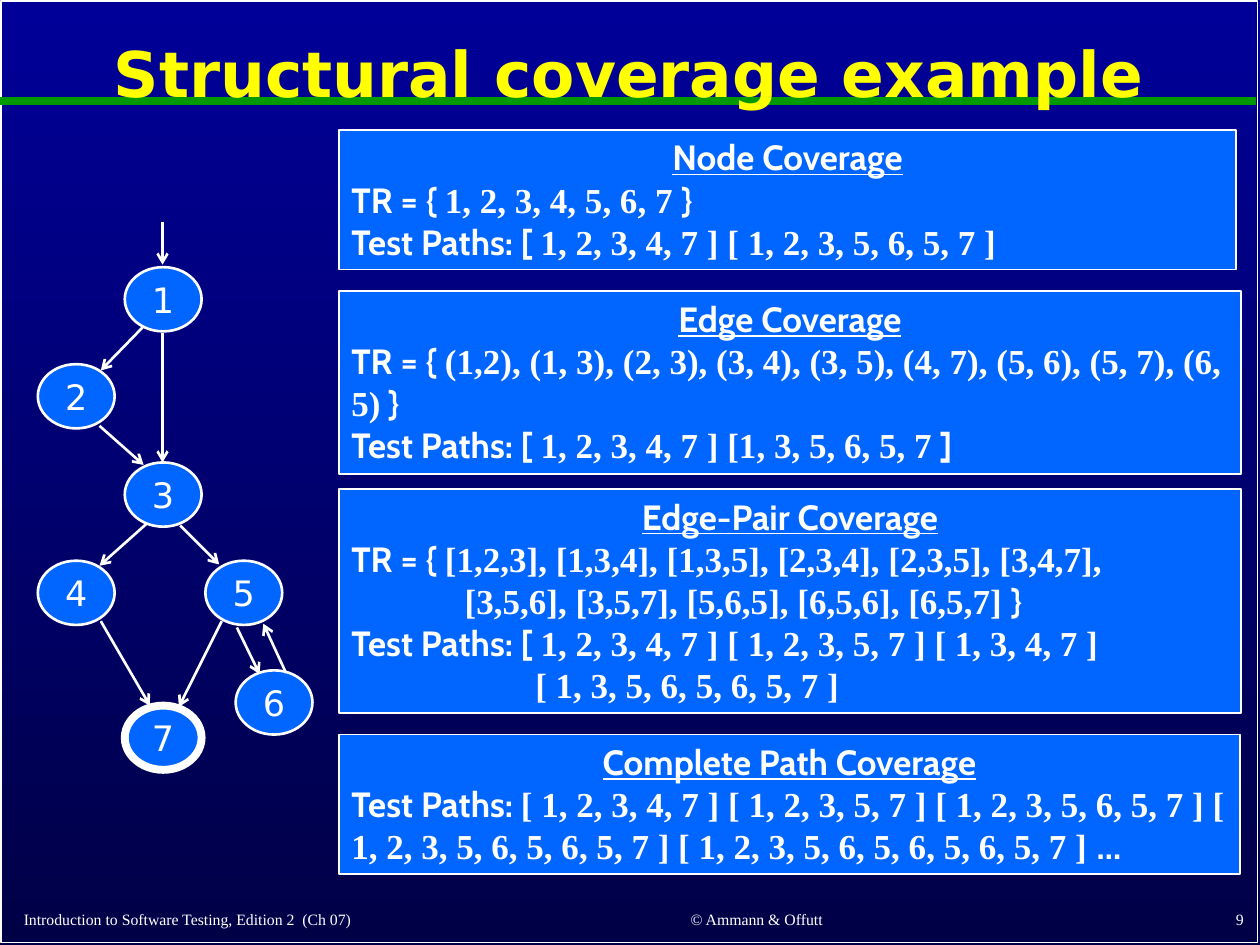
from lxml import etree
from pptx import Presentation
from pptx.dml.color import RGBColor
from pptx.enum.shapes import MSO_CONNECTOR, MSO_SHAPE
from pptx.enum.text import MSO_ANCHOR, MSO_AUTO_SIZE, PP_ALIGN
from pptx.oxml.ns import qn
from pptx.util import Inches, Pt

COLORS = {name: RGBColor.from_string(value) for name, value in {
    "top": "000099", "bottom": "000047", "blue": "0066FF",
    "white": "FFFFFF", "green": "009900", "yellow": "FFFF00",
}.items()}
SANS, SERIF, HEADING = "DejaVu Sans", "Times New Roman", "Cabin"


def style_run(run, font, size, color="white", bold=False):
    run.font.name = font
    run.font.size = Pt(size)
    run.font.color.rgb = COLORS[color]
    run.font.bold = bold


def add_line(start, end, color="white", width=1.5, arrow=True):
    """Add a straight line, with an arrowhead at its end if asked."""
    line = slide.shapes.add_connector(
        MSO_CONNECTOR.STRAIGHT, *[Inches(value) for value in (*start, *end)])
    line.line.color.rgb = COLORS[color]
    line.line.width = Pt(width)
    properties = line.line._get_or_add_ln()
    if arrow:
        etree.SubElement(properties, qn("a:tailEnd"), type="arrow")
    etree.SubElement(properties.getparent(), qn("a:effectLst"))


presentation = Presentation()
presentation.slide_width = Inches(10)
presentation.slide_height = Inches(7.5)
slide = presentation.slides.add_slide(presentation.slide_layouts[6])

# Background, frame and rule under the title
background = slide.background.fill
background.gradient()
background.gradient_angle = 270
for stop, name in zip(background.gradient_stops, ("top", "bottom")):
    stop.color.rgb = COLORS[name]

frame = slide.shapes.add_shape(
    MSO_SHAPE.RECTANGLE, Inches(0.01), Inches(0.01), Inches(9.97), Inches(7.47))
frame.shadow.inherit = False
frame.fill.background()
frame.line.color.rgb = COLORS["white"]
frame.line.width = Pt(1)
add_line((0, 0.8), (9.97, 0.8), "green", 4.5, arrow=False)

# Title and footer
title = slide.shapes.add_textbox(Inches(0.09), Inches(0.11), Inches(9.8), Inches(1))
title.text_frame.word_wrap = True
title.text_frame.vertical_anchor = MSO_ANCHOR.MIDDLE
title.text_frame.text = "Structural coverage example"
paragraph = title.text_frame.paragraphs[0]
paragraph.alignment = PP_ALIGN.CENTER
paragraph.line_spacing = 0.9
style_run(paragraph.runs[0], SANS, 36, "yellow", bold=True)

footers = [
    ("Introduction to Software Testing, Edition 2  (Ch 07)", 0.09, 4.12, PP_ALIGN.LEFT),
    ("© Ammann & Offutt", 4.42, 3.17, PP_ALIGN.CENTER),
    ("9", 7.89, 2.08, PP_ALIGN.RIGHT),
]
for text, left, width, alignment in footers:
    footer = slide.shapes.add_textbox(
        Inches(left), Inches(7.12), Inches(width), Inches(0.3))
    footer.text_frame.word_wrap = True
    footer.text_frame.vertical_anchor = MSO_ANCHOR.BOTTOM
    footer.text_frame.text = text
    paragraph = footer.text_frame.paragraphs[0]
    paragraph.alignment = alignment
    style_run(paragraph.runs[0], SERIF, 9)

# Control flow graph
nodes = {
    "1": (0.99, 2.12), "2": (0.3, 2.89), "3": (0.99, 3.67), "4": (0.3, 4.45),
    "5": (1.63, 4.45), "6": (1.87, 5.32), "7": (0.99, 5.6),
}
final_node = "7"
for label, (left, top) in nodes.items():
    node = slide.shapes.add_shape(
        MSO_SHAPE.OVAL, Inches(left), Inches(top), Inches(0.61), Inches(0.51))
    node.shadow.inherit = False
    node.fill.solid()
    node.fill.fore_color.rgb = COLORS["blue"]
    node.line.color.rgb = COLORS["white"]
    node.line.width = Pt(4.5 if label == final_node else 1.5)
    node.text_frame.word_wrap = False
    node.text_frame.vertical_anchor = MSO_ANCHOR.MIDDLE
    node.text_frame.text = label
    paragraph = node.text_frame.paragraphs[0]
    paragraph.alignment = PP_ALIGN.CENTER
    style_run(paragraph.runs[0], SANS, 20)

edges = [
    ((1.29, 1.76), (1.29, 2.1)),   # entry to 1
    ((1.13, 2.6), (0.8, 2.94)),    # 1 to 2
    ((1.29, 2.64), (1.29, 3.67)),  # 1 to 3
    ((0.79, 3.38), (1.14, 3.69)),  # 2 to 3
    ((1.16, 4.16), (0.79, 4.49)),  # 3 to 4
    ((1.43, 4.17), (1.74, 4.48)),  # 3 to 5
    ((0.8, 4.93), (1.19, 5.6)),    # 4 to 7
    ((1.88, 4.98), (2.06, 5.35)),  # 5 to 6
    ((2.27, 5.34), (2.09, 4.95)),  # 6 to 5
    ((1.76, 4.93), (1.42, 5.61)),  # 5 to 7
]
for start, end in edges:
    add_line(start, end)

# Coverage boxes: each line is an indent, then text alternating heading font and serif
coverage_boxes = [
    ("Node Coverage", 1.03, 7.12, 1.11, [
        (0, "TR = { ", "1, 2, 3, 4, 5, 6, 7 ", "}"),
        (0, "Test Paths: [ ", "1, 2, 3, 4, 7 ] [ 1, 2, 3, 5, 6, 5, 7 ]"),
    ]),
    ("Edge Coverage", 2.31, 7.16, 1.45, [
        (0, "TR = { ",
         "(1,2), (1, 3), (2, 3), (3, 4), (3, 5), (4, 7), (5, 6), (5, 7), (6, 5)", " }"),
        (0, "Test Paths: [ ", "1, 2, 3, 4, 7 ] [1, 3, 5, 6, 5, 7", " ]"),
    ]),
    ("Edge-Pair Coverage", 3.88, 7.16, 1.78, [
        (0, "TR = { ", "[1,2,3], [1,3,4], [1,3,5], [2,3,4], [2,3,5], [3,4,7],"),
        (0.9, "", "[3,5,6], [3,5,7], [5,6,5], [6,5,6], [6,5,7] ", "}"),
        (0, "Test Paths: [ ", "1, 2, 3, 4, 7 ] [ 1, 2, 3, 5, 7 ] [ 1, 3, 4, 7 ]"),
        (1.46, "", "[ 1, 3, 5, 6, 5, 6, 5, 7 ]"),
    ]),
    ("Complete Path Coverage", 5.83, 7.15, 1.11, [
        (0, "Test Paths: ",
         "[ 1, 2, 3, 4, 7 ] [ 1, 2, 3, 5, 7 ] [ 1, 2, 3, 5, 6, 5, 7 ] "
         "[ 1, 2, 3, 5, 6, 5, 6, 5, 7 ] [ 1, 2, 3, 5, 6, 5, 6, 5, 6, 5, 7 ] ", "…"),
    ]),
]
for heading, top, width, height, lines in coverage_boxes:
    box = slide.shapes.add_shape(
        MSO_SHAPE.RECTANGLE, Inches(2.69), Inches(top), Inches(width), Inches(height))
    box.shadow.inherit = False
    box.fill.solid()
    box.fill.fore_color.rgb = COLORS["blue"]
    box.line.color.rgb = COLORS["white"]
    box.line.width = Pt(1)
    text_frame = box.text_frame
    text_frame.word_wrap = True
    text_frame.auto_size = MSO_AUTO_SIZE.SHAPE_TO_FIT_TEXT
    text_frame.vertical_anchor = MSO_ANCHOR.TOP
    text_frame.text = heading
    paragraph = text_frame.paragraphs[0]
    paragraph.alignment = PP_ALIGN.CENTER
    style_run(paragraph.runs[0], HEADING, 20, bold=True)
    paragraph.runs[0].font.underline = True
    for indent, *segments in lines:
        paragraph = text_frame.add_paragraph()
        paragraph.alignment = PP_ALIGN.LEFT
        if indent:
            paragraph._p.get_or_add_pPr().set("marL", str(Inches(indent)))
        for index, text in enumerate(segments):
            if text:
                run = paragraph.add_run()
                run.text = text
                style_run(run, SERIF if index % 2 else HEADING, 20, bold=True)

presentation.save("out.pptx")
